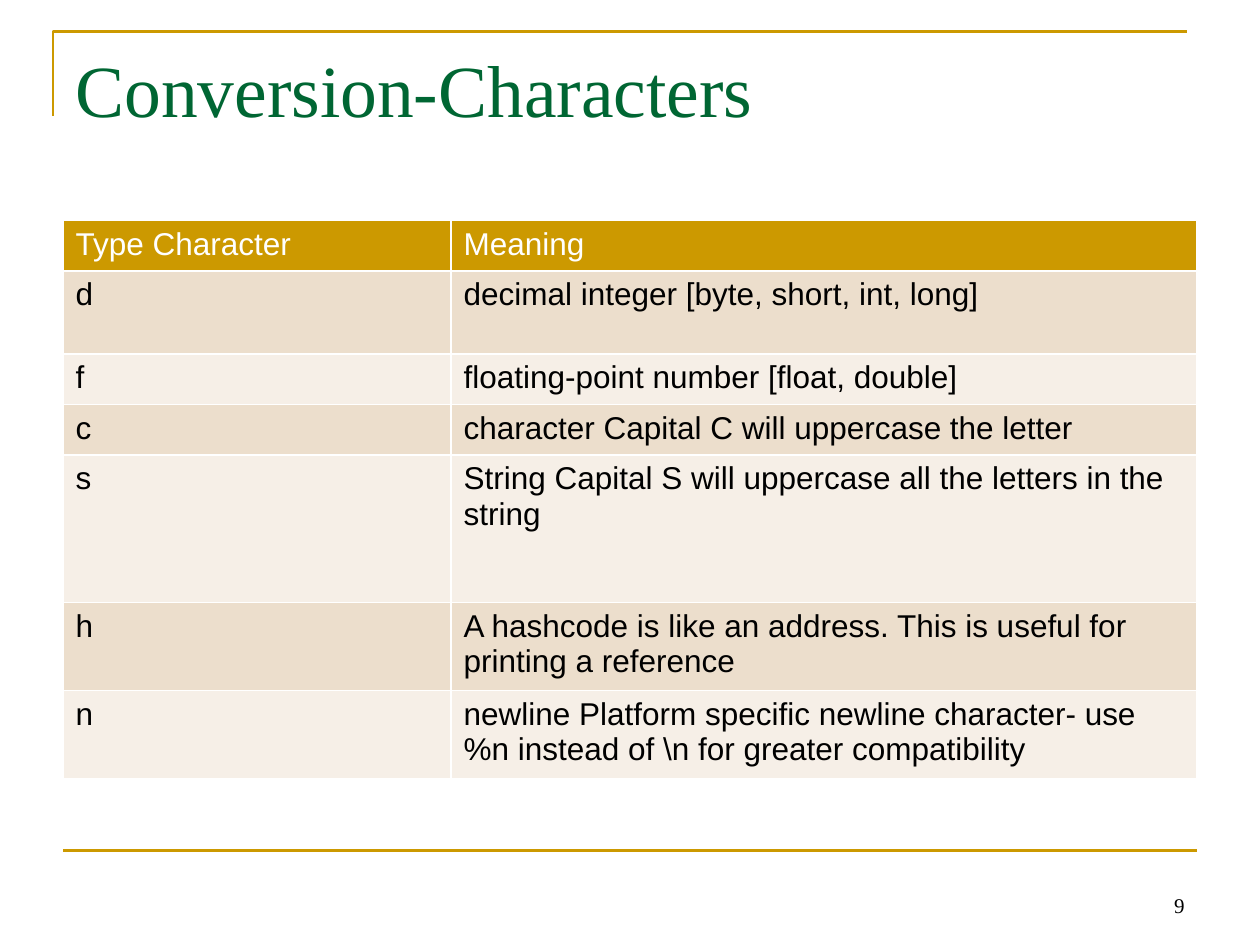
"""Build the Conversion-Characters slide with its table of type characters."""
from lxml import etree
from pptx import Presentation
from pptx.dml.color import RGBColor
from pptx.enum import shapes, text
from pptx.oxml.ns import qn
from pptx.util import Inches, Pt

TITLE = "Conversion-Characters"
PAGE_NUMBER = "9"
ROWS = [
    ("Type Character", "Meaning"),
    ("d", "decimal integer [byte, short, int, long]"),
    ("f", "floating-point number [float, double]"),
    ("c", "character Capital C will uppercase the letter"),
    ("s", "String Capital S will uppercase all the letters in the string"),
    ("h", "A hashcode is like an address. This is useful for printing a reference"),
    ("n", "newline Platform specific newline character- use %n instead of \\n "
          "for greater compatibility"),
]
COLUMN_WIDTHS = (3.08, 5.92)
SINGLE, DOUBLE, TALL = 0.4, 0.66, 1.17
ROW_HEIGHTS = (SINGLE, DOUBLE, SINGLE, SINGLE, TALL, DOUBLE, DOUBLE)
LEFT, WIDTH = 0.5, 9

THEME = {
    "gold": RGBColor.from_string("CC9900"),
    "green": RGBColor.from_string("006633"),
    "white": RGBColor.from_string("FFFFFF"),
    "black": RGBColor.from_string("000000"),
    "bands": (RGBColor.from_string("F6EFE7"), RGBColor.from_string("ECDECC")),
    "serif": "Times New Roman",
    "sans": "Arial",
    "title_size": 42,
    "table_size": 18,
    "number_size": 12,
    "rule_width": 1.5,
}


def style(paragraph, family, size, color):
    font = paragraph.font
    font.name, font.size, font.bold = THEME[family], Pt(THEME[size]), False
    font.color.rgb = THEME[color]


def style_rule(shape):
    shape.line.color.rgb = THEME["gold"]
    shape.line.width = Pt(THEME["rule_width"])


def add_rules(slide):
    builder = slide.shapes.build_freeform(Inches(0.42), Inches(0.92))
    builder.add_line_segments(
        [(Inches(0.42), Inches(0.25)), (Inches(9.42), Inches(0.25))], close=False)
    corner = builder.convert_to_shape()
    corner.fill.background()
    corner.shadow.inherit = False
    style_rule(corner)

    footer = slide.shapes.add_connector(
        shapes.MSO_CONNECTOR.STRAIGHT, Inches(LEFT), Inches(6.75),
        Inches(LEFT + WIDTH), Inches(6.75))
    style_rule(footer)
    etree.SubElement(footer._element.spPr, qn("a:effectLst"))


def add_text(slide, words, box, anchor, align, family, size, color):
    shape = slide.shapes.add_textbox(*map(Inches, box))
    frame = shape.text_frame
    frame.word_wrap = True
    frame.vertical_anchor = anchor
    paragraph = frame.paragraphs[0]
    paragraph.text = words
    paragraph.alignment = align
    style(paragraph, family, size, color)


def add_meaning_table(slide):
    table = slide.shapes.add_table(
        len(ROWS), len(COLUMN_WIDTHS), Inches(LEFT), Inches(1.75),
        Inches(WIDTH), Inches(sum(ROW_HEIGHTS))).table
    for column, width in zip(table.columns, COLUMN_WIDTHS):
        column.width = Inches(width)
    for index, (row, height, words) in enumerate(zip(table.rows, ROW_HEIGHTS, ROWS)):
        row.height = Inches(height)
        for cell, content in zip(row.cells, words):
            cell.text = content
            cell.fill.solid()
            cell.fill.fore_color.rgb = THEME["bands"][index % 2] if index else THEME["gold"]
            style(cell.text_frame.paragraphs[0], "sans", "table_size",
                  "black" if index else "white")


def main():
    presentation = Presentation()
    presentation.slide_width, presentation.slide_height = Inches(10), Inches(7.5)
    slide = presentation.slides.add_slide(presentation.slide_layouts[6])
    add_rules(slide)
    add_text(slide, TITLE, (LEFT, 0.3, WIDTH, 1.25), text.MSO_ANCHOR.TOP,
             text.PP_ALIGN.LEFT, "serif", "title_size", "green")
    add_meaning_table(slide)
    add_text(slide, PAGE_NUMBER, (7.17, 6.83, 2.33, 0.5), text.MSO_ANCHOR.BOTTOM,
             text.PP_ALIGN.RIGHT, "serif", "number_size", "black")
    presentation.save("out.pptx")


if __name__ == "__main__":
    main()
